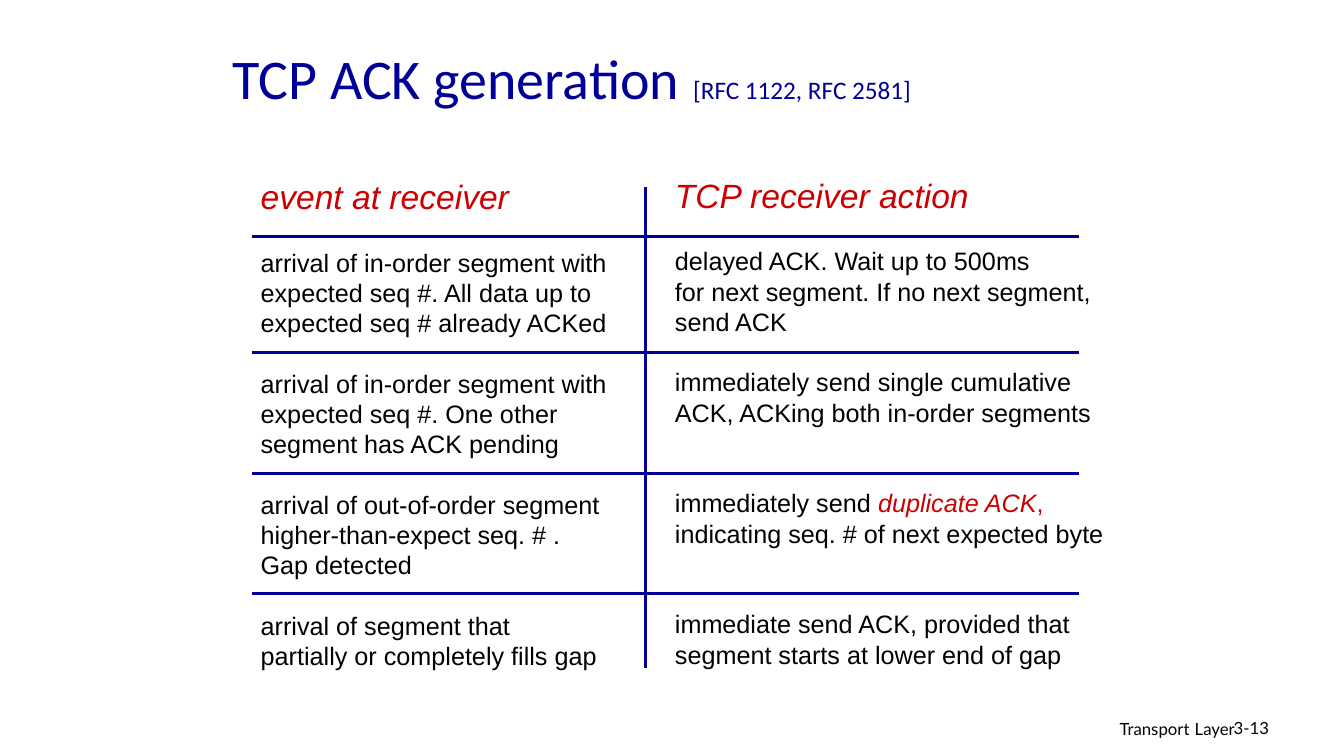
from pptx import Presentation
from pptx.dml.color import RGBColor
from pptx.enum.shapes import MSO_CONNECTOR
from pptx.enum.text import MSO_ANCHOR, MSO_AUTO_SIZE, PP_ALIGN
from pptx.oxml.ns import qn
from pptx.util import Cm, Pt
from lxml.etree import SubElement

NAVY, RED, BLACK = "000099", "CC0000", "000000"
LINE = 21.6        # line height of the table text, in points
ROW_LINES = 4      # each row takes four lines, gap included


def style(font, size, color, name, italic=False):
    font.size, font.name, font.italic = Pt(size), name, italic
    font.color.rgb = RGBColor.from_string(color)


def add_text(left, top, width, height):
    tf = s.shapes.add_textbox(Cm(left), Cm(top), Cm(width), Cm(height)).text_frame
    tf.word_wrap = True
    return tf


prs = Presentation()
prs.slide_width, prs.slide_height = Cm(33.87), Cm(19.05)
s = prs.slides.add_slide(prs.slide_layouts[5])

# Title
title = s.shapes.title
title.left, title.top, title.width, title.height = Cm(5.61), Cm(0.97), Cm(21.59), Cm(1.85)
tf = title.text_frame
tf.auto_size, tf.vertical_anchor = MSO_AUTO_SIZE.NONE, MSO_ANCHOR.MIDDLE
p = tf.paragraphs[0]
p.alignment = PP_ALIGN.LEFT
for text, size in [("TCP ACK generation", 40), (" ", 44), ("[RFC 1122, RFC 2581]", 18)]:
    r = p.add_run()
    r.text = text
    style(r.font, size, NAVY, "Calibri")

# Footer and page number
p = add_text(20.65, 17.91, 10.72, 0.79).paragraphs[0]
p.alignment = PP_ALIGN.RIGHT
for text, size in [("Transport", 12), (" ", 14), ("Layer", 12)]:
    r = p.add_run()
    r.text = text
    style(r.font, size, BLACK, "Lato")
p = add_text(30.84, 17.96, 2.51, 0.76).paragraphs[0]
p.text = "3-13"
style(p.font, 12, BLACK, "Lato")

# Two columns: left, top, width, heading, rows of lines
duplicate_ack = [("immediately send ", BLACK, False), ("duplicate ACK", RED, True), (",", RED, False)]
columns = [
    (6.32, 4.32, 9.27, "event at receiver", [
        ["arrival of in-order segment with", "expected seq #. All data up to",
         "expected seq # already ACKed"],
        ["arrival of in-order segment with", "expected seq #. One other",
         "segment has ACK pending"],
        ["arrival of out-of-order segment", "higher-than-expect seq. # .",
         "Gap detected"],
        ["arrival of segment that", "partially or completely fills gap"],
    ]),
    (16.76, 4.29, 11.6, "TCP receiver action", [
        ["delayed ACK. Wait up to 500ms", "for next segment. If no next segment,",
         "send ACK"],
        ["immediately send single cumulative", "ACK, ACKing both in-order segments"],
        [duplicate_ack, "indicating seq. # of next expected byte"],
        ["immediate send ACK, provided that", "segment starts at lower end of gap"],
    ]),
]
for left, top, width, heading, rows in columns:
    tf = add_text(left, top, width, 13.89)
    p = tf.paragraphs[0]
    p.text = heading
    p.line_spacing = Pt(28.8)
    style(p.font, 24, RED, "Arial", True)
    gap = LINE
    for row in rows:
        for i, line in enumerate(row):
            p = tf.add_paragraph()
            p.line_spacing = Pt(LINE)
            p.space_before = Pt(gap if i == 0 else 0)
            if isinstance(line, str):
                p.text = line
                style(p.font, 18, BLACK, "Arial")
            else:
                for text, color, italic in line:
                    r = p.add_run()
                    r.text = text
                    style(r.font, 18, color, "Arial", italic)
        gap = LINE * (ROW_LINES - len(row))

# Rules: one between the columns, four between the rows
rules = [(16.26, 4.72, 16.26, 16.84)]
rules += [(6.35, y, 27.18, y) for y in (5.97, 8.89, 11.94, 14.96)]
for x1, y1, x2, y2 in rules:
    rule = s.shapes.add_connector(MSO_CONNECTOR.STRAIGHT, Cm(x1), Cm(y1), Cm(x2), Cm(y2))
    rule.line.color.rgb = RGBColor.from_string(NAVY)
    rule.line.width = Pt(2.25)
    SubElement(rule.element.spPr, qn("a:effectLst"))

prs.save("out.pptx")
